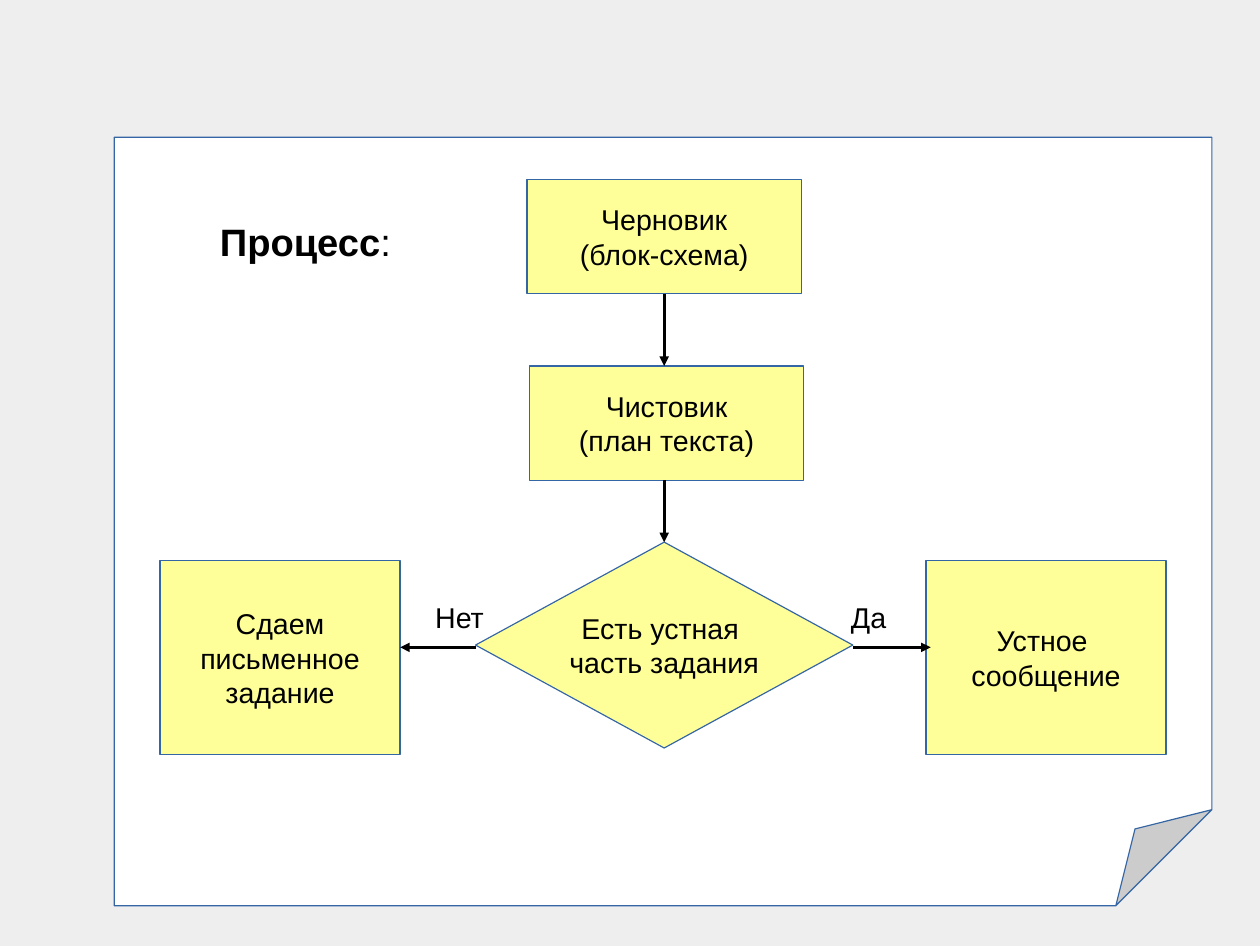
from dataclasses import dataclass

from lxml.etree import SubElement
from pptx import Presentation
from pptx.dml.color import RGBColor
from pptx.enum.shapes import MSO_CONNECTOR as Connector, MSO_SHAPE as Shape
from pptx.enum.text import MSO_ANCHOR as Anchor, MSO_AUTO_SIZE as AutoSize, PP_ALIGN as Align
from pptx.oxml.ns import qn
from pptx.util import Pt


@dataclass(frozen=True)
class Theme:
    backdrop = RGBColor.from_string("EEEEEE")
    paper = RGBColor.from_string("FFFFFF")
    step = RGBColor.from_string("FFFF99")
    outline = RGBColor.from_string("3465A4")
    ink = RGBColor.from_string("000000")
    font = "Arial"
    title_size = Pt(24)
    text_size = Pt(18)
    hairline = Pt(0)


theme = Theme()


def add_block(kind, box, fill):
    block = slide.shapes.add_shape(kind, *map(Pt, box))
    block.shadow.inherit = False
    block.fill.solid()
    block.fill.fore_color.rgb = fill
    block.line.color.rgb = theme.outline
    block.line.width = theme.hairline
    return block


def format_text(frame, size, align, anchor):
    frame.word_wrap = False
    frame.vertical_anchor = anchor
    frame.margin_left = frame.margin_right = Pt(7.2)
    frame.margin_top = frame.margin_bottom = Pt(3.6)
    for paragraph in frame.paragraphs:
        paragraph.alignment = align
        for run in paragraph.runs:
            run.font.name = theme.font
            run.font.size = size
            run.font.color.rgb = theme.ink


prs = Presentation()
prs.slide_width, prs.slide_height = Pt(793.5), Pt(595.5)
slide = prs.slides.add_slide(prs.slide_layouts[5])
slide.background.fill.solid()
slide.background.fill.fore_color.rgb = theme.backdrop

# Sheet of paper, its fold an eighth of the height
sheet = add_block(Shape.FOLDED_CORNER, (72, 86.4, 691.2, 483.8), theme.paper)
fold = sheet.element.spPr.find(qn("a:prstGeom")).find(qn("a:avLst"))
SubElement(fold, qn("a:gd"), name="adj", fmla="val 12500")

# Title
title = slide.shapes.title
sheet.element.addnext(title.element)
title.left, title.top, title.width, title.height = map(Pt, (131, 133.9, 122.4, 31))
heading = title.text_frame.paragraphs[0]
heading.text = "Процесс"
heading.add_run().text = ":"
format_text(title.text_frame, theme.title_size, Align.RIGHT, Anchor.TOP)
title.text_frame.auto_size = AutoSize.SHAPE_TO_FIT_TEXT
for run, bold in zip(heading.runs, (True, False)):
    run.font.bold = bold

# Steps of the process
steps = [
    (Shape.RECTANGLE, (331.9, 113, 172.8, 72), "Черновик\n(блок-схема)"),
    (Shape.RECTANGLE, (333.4, 230.4, 172.8, 72), "Чистовик\n(план текста)"),
    (Shape.DIAMOND, (299.5, 341.3, 237.6, 129.6), "Есть устная \nчасть задания"),
    (Shape.RECTANGLE, (583.2, 352.8, 151.2, 122.4), "Устное \nсообщение"),
    (Shape.RECTANGLE, (100.8, 352.8, 151.2, 122.4), "Сдаем\nписьменное\nзадание"),
]
for kind, box, wording in steps:
    step = add_block(kind, box, theme.step)
    step.text_frame.text = wording
    format_text(step.text_frame, theme.text_size, Align.CENTER, Anchor.MIDDLE)

# Arrows between the steps
axis, branch = 418.3, 407.5
arrows = [
    (axis, 185, axis, 230.4),
    (axis, 302.4, axis, 341.3),
    (537.1, branch, 586.1, branch),
    (299.5, branch, 252, branch),
]
for ends in arrows:
    arrow = slide.shapes.add_connector(Connector.STRAIGHT, *map(Pt, ends))
    arrow.line.color.rgb = theme.ink
    arrow.line.width = theme.hairline
    properties = arrow.element.spPr
    SubElement(properties.find(qn("a:ln")), qn("a:tailEnd"), type="triangle")
    SubElement(properties, qn("a:effectLst"))

# Answers on the branches
for answer, left, width in (("Да", 528.5, 36.7), ("Нет", 266.4, 45.4)):
    label = slide.shapes.add_textbox(Pt(left), Pt(374.4), Pt(width), Pt(25.2))
    label.text_frame.text = answer
    format_text(label.text_frame, theme.text_size, Align.RIGHT, Anchor.TOP)
    label.text_frame.auto_size = AutoSize.SHAPE_TO_FIT_TEXT

prs.save("out.pptx")
